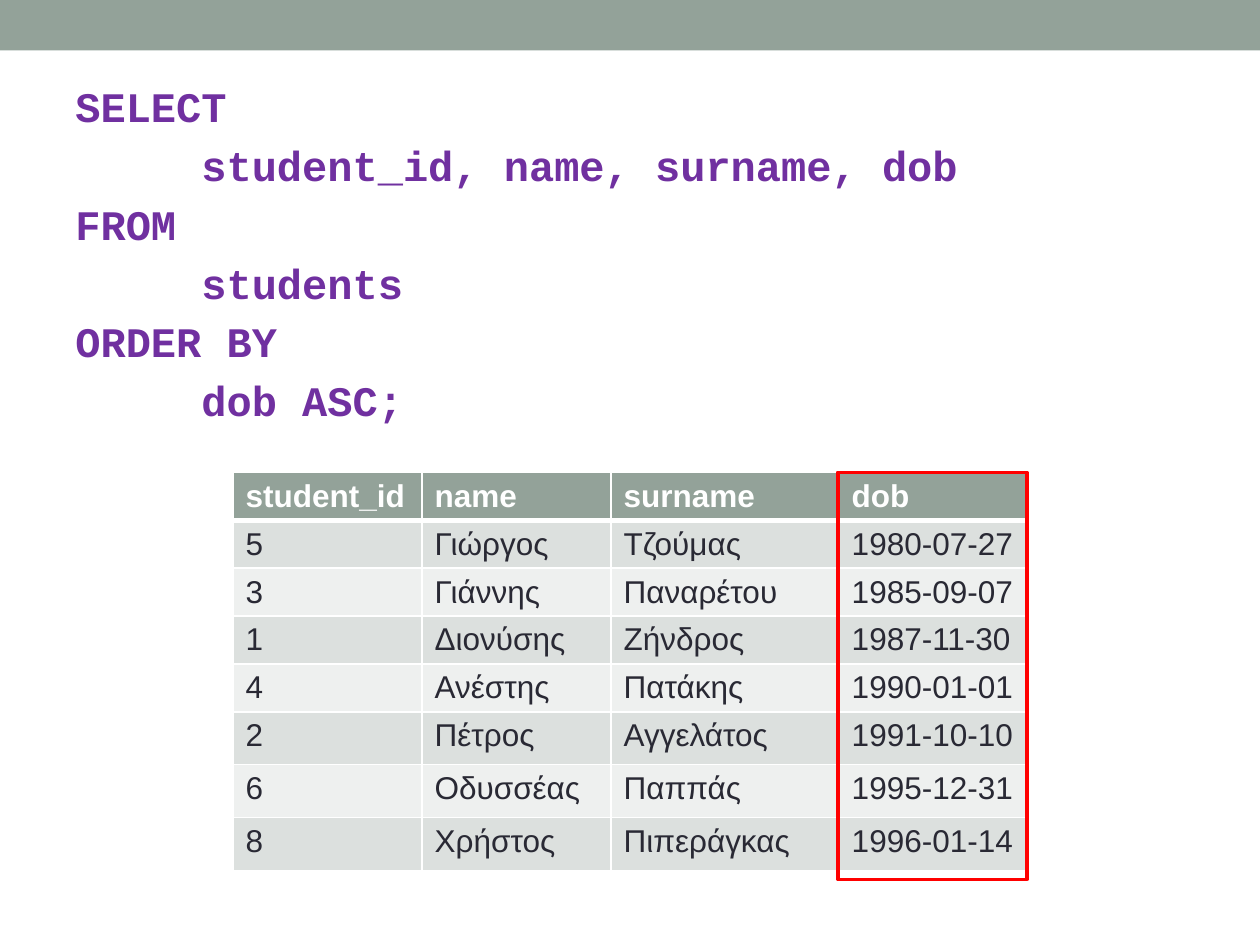
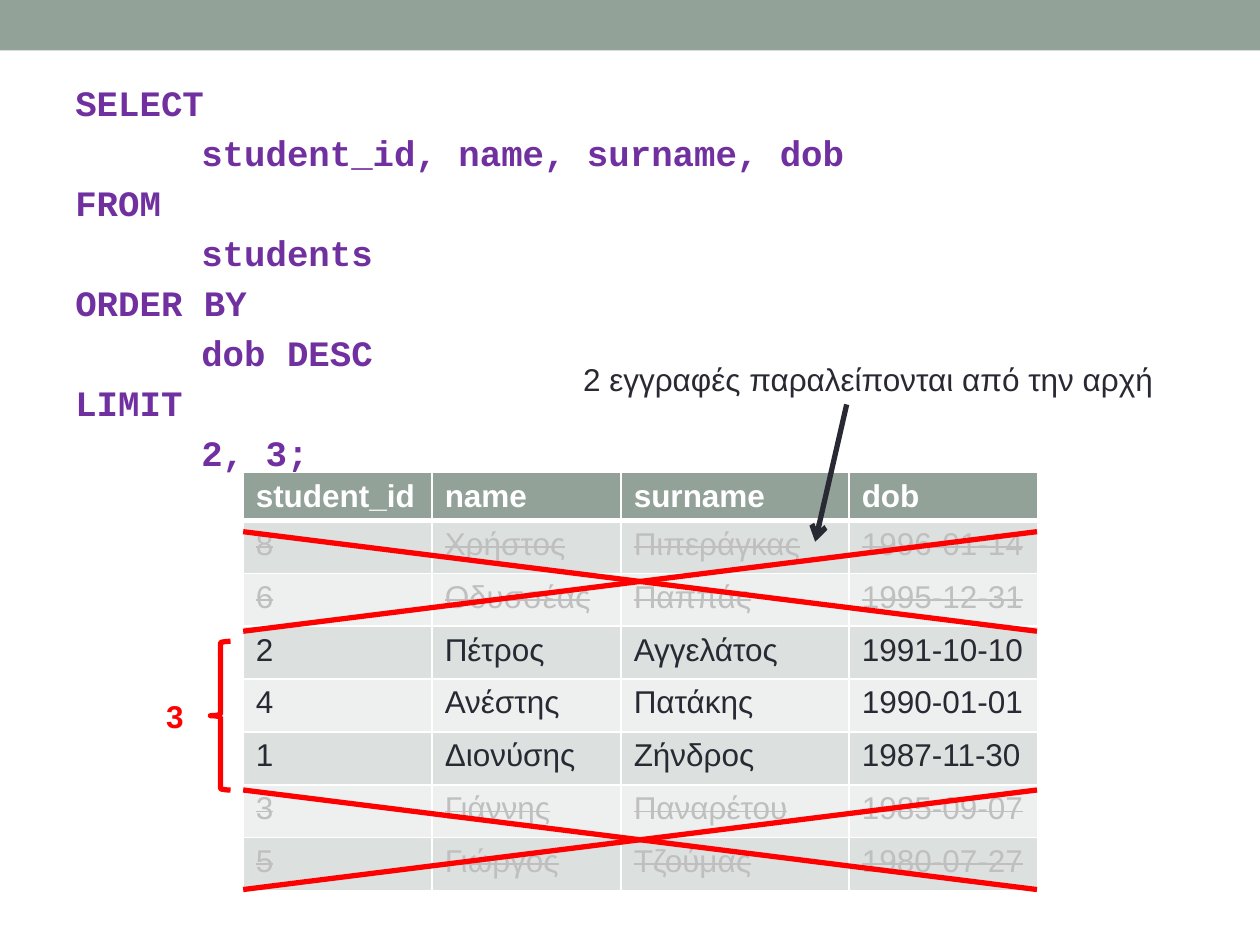
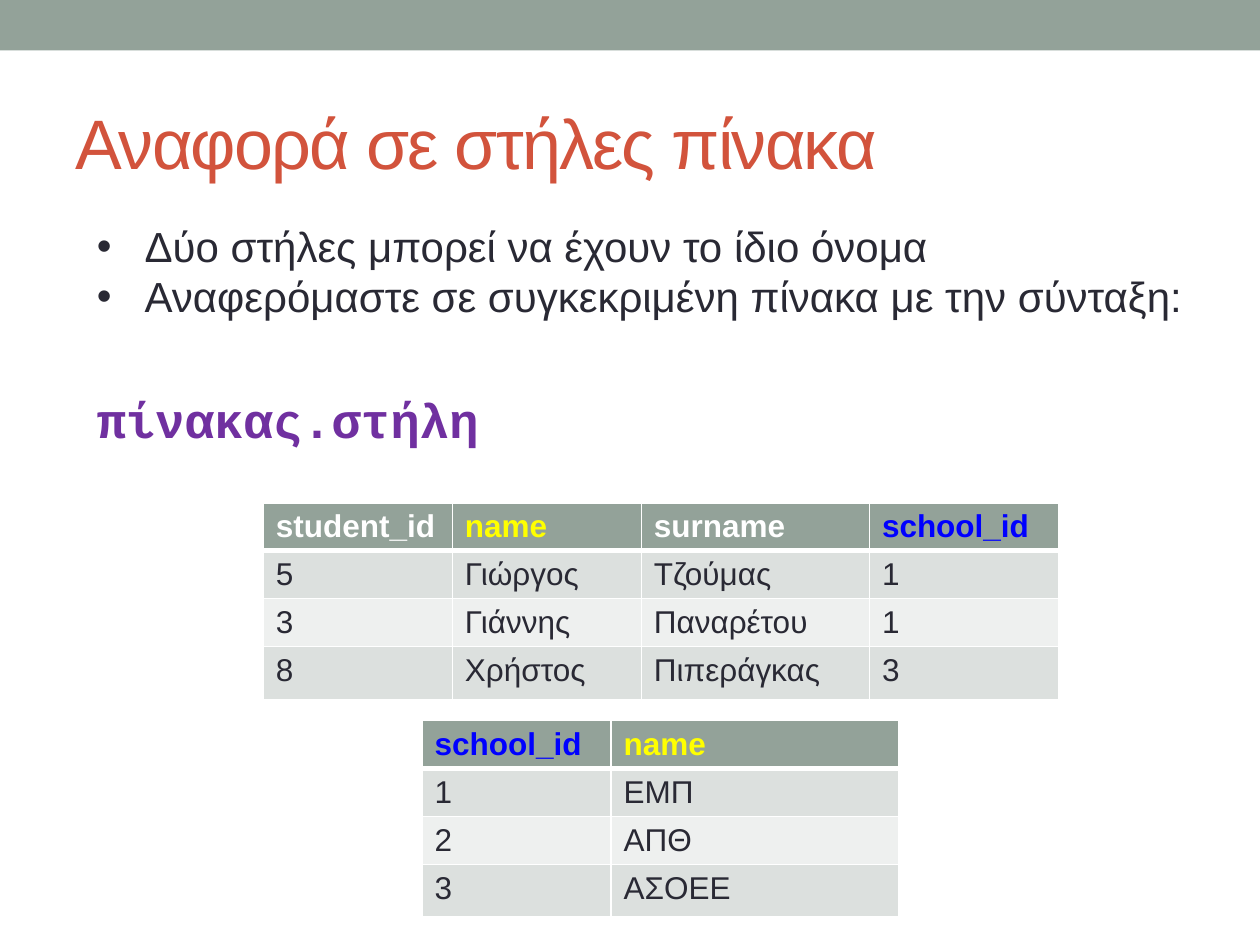
import pptx
import pptx.dml.color
import pptx.enum.shapes
import pptx.enum.text
import pptx.oxml
import pptx.oxml.ns
import pptx.util
from pptx.util import Inches

RGBColor = pptx.dml.color.RGBColor
Shape = pptx.enum.shapes.MSO_SHAPE
Anchor = pptx.enum.text.MSO_ANCHOR

SAGE = RGBColor(0x93, 0xA2, 0x99)
ROW_DARK = RGBColor(0xDC, 0xE0, 0xDE)
ROW_LIGHT = RGBColor(0xEE, 0xF0, 0xEF)
INK = RGBColor(0x29, 0x29, 0x34)
PURPLE = RGBColor(0x70, 0x30, 0xA0)
TERRACOTTA = RGBColor(0xD2, 0x53, 0x3C)
RED = RGBColor(0xFF, 0x00, 0x00)
YELLOW = RGBColor(0xFF, 0xFF, 0x00)
BLUE = RGBColor(0x00, 0x00, 0xFF)
GREY = RGBColor(0xBF, 0xBF, 0xBF)
WHITE = RGBColor(0xFF, 0xFF, 0xFF)

SANS, MONO = "Arial", "Courier New"
STUDENT_COLS = [1.5, 1.5, 1.81, 1.5]
SHORT_ROW, TALL_ROW = 0.38, 0.42

BIRTHS = [
    ("5", "Γιώργος", "Τζούμας", "1980-07-27"),
    ("3", "Γιάννης", "Παναρέτου", "1985-09-07"),
    ("1", "Διονύσης", "Ζήνδρος", "1987-11-30"),
    ("4", "Ανέστης", "Πατάκης", "1990-01-01"),
    ("2", "Πέτρος", "Αγγελάτος", "1991-10-10"),
    ("6", "Οδυσσέας", "Παππάς", "1995-12-31"),
    ("8", "Χρήστος", "Πιπεράγκας", "1996-01-14"),
]
BIRTH_HEADER = ("student_id", "name", "surname", "dob")


def add_xml(parent, tag, inner="", **attributes):
    """Append a drawing element with the given attributes to parent."""
    listed = " ".join(f'{key}="{value}"' for key, value in attributes.items())
    namespace = pptx.oxml.ns.nsdecls("a")
    parent.append(pptx.oxml.parse_xml(f"<a:{tag} {namespace} {listed}>{inner}</a:{tag}>"))


def indent(paragraph, left, first=0):
    """Indent a paragraph, with its first line shifted by first."""
    properties = paragraph._p.get_or_add_pPr()
    properties.set("marL", str(Inches(left)))
    properties.set("indent", str(Inches(first)))
    return properties


class Deck:
    """Holds the shared style and the slide being built."""

    def __init__(self):
        self.prs = pptx.Presentation()
        self.prs.slide_width, self.prs.slide_height = Inches(10), Inches(7.5)
        self.slide = None

    def new_slide(self):
        """Start a slide with the band along its top."""
        self.slide = self.prs.slides.add_slide(self.prs.slide_layouts[6])
        self.shape(Shape.RECTANGLE, 0, 0, 10, 0.4, fill=SAGE)

    def shape(self, kind, left, top, width, height, fill=None, line=None, weight=1):
        """Add a preset shape, filled or outlined."""
        shape = self.slide.shapes.add_shape(
            kind, Inches(left), Inches(top), Inches(width), Inches(height))
        shape.shadow.inherit = False
        if fill is None:
            shape.fill.background()
        else:
            shape.fill.solid()
            shape.fill.fore_color.rgb = fill
        if line is None:
            shape.line.fill.background()
        else:
            shape.line.color.rgb = line
            shape.line.width = pptx.util.Pt(weight)

    def line(self, x1, y1, x2, y2, color, arrow=False):
        """Add a thick straight line, with an arrowhead at its end if asked."""
        line = self.slide.shapes.add_connector(
            pptx.enum.shapes.MSO_CONNECTOR.STRAIGHT,
            Inches(x1), Inches(y1), Inches(x2), Inches(y2))
        line.line.color.rgb = color
        line.line.width = pptx.util.Pt(3)
        if arrow:
            add_xml(line.line._get_or_add_ln(), "tailEnd", type="arrow")
        add_xml(line._element.spPr, "effectLst")

    def cross_out(self, left, top, width, height):
        """Strike a block of rows with two red diagonals."""
        right, bottom = left + width, top + height
        self.line(left, top, right, bottom, RED)
        self.line(left, bottom, right, top, RED)

    def run(self, paragraph, text, size, color, font=SANS, bold=False):
        """Add one styled run and return it."""
        run = paragraph.add_run()
        run.text = text
        run.font.size = pptx.util.Pt(size)
        run.font.name = font
        run.font.bold = bold
        run.font.color.rgb = color
        return run

    def frame(self, left, top, width, height, wrap=True):
        """Add an empty text box and return its text frame."""
        frame = self.slide.shapes.add_textbox(
            Inches(left), Inches(top), Inches(width), Inches(height)).text_frame
        frame.word_wrap = wrap
        return frame

    def title(self, text):
        """Add the slide title."""
        frame = self.frame(0.5, 0.58, 9, 1.08)
        frame.vertical_anchor = Anchor.MIDDLE
        run = self.run(frame.paragraphs[0], text, 40, TERRACOTTA)
        run._r.get_or_add_rPr().set("spc", "-100")

    def label(self, text, left, top, width, color=INK, bold=False, wrap=True):
        """Add a one-line note."""
        frame = self.frame(left, top, width, 0.4, wrap)
        self.run(frame.paragraphs[0], text, 18, color, bold=bold)

    def query(self, clauses, size):
        """Write a query, each keyword followed by its indented argument."""
        frame = self.frame(0.5, 0.6, 9, 2.91)
        frame.margin_top = Inches(0.04)
        lines = [line for clause in clauses for line in zip(clause, (0, 1))]
        for index, (text, left) in enumerate(lines):
            paragraph = frame.add_paragraph() if index else frame.paragraphs[0]
            paragraph.space_before = pptx.util.Pt(round(size * 0.2, 1))
            indent(paragraph, left)
            self.run(paragraph, text, size, PURPLE, MONO, True)

    def syntax_notes(self, bullets, syntax):
        """Write bullets and, below them, a piece of syntax."""
        frame = self.frame(0.67, 1.7, 8.98, 1.99)
        for index, text in enumerate(bullets):
            paragraph = frame.add_paragraph() if index else frame.paragraphs[0]
            properties = indent(paragraph, 0.38, -0.38)
            add_xml(properties, "buFont", typeface=SANS)
            add_xml(properties, "buChar", char="•")
            self.run(paragraph, text, 24, INK)
        paragraph = frame.add_paragraph()
        paragraph.space_before = pptx.util.Pt(39)
        self.run(paragraph, syntax, 28, PURPLE, MONO, True)

    def table(self, left, top, columns, heights, header, rows, accents=None, struck=()):
        """Add a banded table; accents colour headings, struck rows are greyed out."""
        grid = self.slide.shapes.add_table(
            len(heights), len(columns), Inches(left), Inches(top),
            Inches(sum(columns)), Inches(sum(heights))).table
        for column, width in zip(grid.columns, columns):
            column.width = Inches(width)
        for row, height in zip(grid.rows, heights):
            row.height = Inches(height)
        for r, values in enumerate([header, *rows]):
            for c, text in enumerate(values):
                cell = grid.cell(r, c)
                cell.margin_bottom = Inches(0.02)
                if r == 0:
                    fill, color = SAGE, (accents or {}).get(text, WHITE)
                else:
                    fill = ROW_DARK if r % 2 else ROW_LIGHT
                    color = GREY if r in struck else INK
                self.borders(cell, top=3 if r == 1 else 1, bottom=1 if r else 3)
                cell.fill.solid()
                cell.fill.fore_color.rgb = fill
                run = self.run(cell.text_frame.paragraphs[0], text, 18, color, bold=r == 0)
                if r in struck:
                    run._r.get_or_add_rPr().set("strike", "sngStrike")

    def borders(self, cell, top, bottom):
        """Draw white borders round a cell."""
        white = f'<a:solidFill><a:srgbClr val="{WHITE}"/></a:solidFill>'
        for side, weight in zip("LRTB", (1, 1, top, bottom)):
            add_xml(cell._tc.get_or_add_tcPr(), "ln" + side, white, w=pptx.util.Pt(weight))


def ordered_slide(deck):
    """Show students ordered by date of birth."""
    deck.new_slide()
    deck.query([("SELECT", "student_id, name, surname, dob"), ("FROM", "students"),
                ("ORDER BY", "dob ASC;")], 24)
    deck.table(1.85, 3.75, STUDENT_COLS, [SHORT_ROW] * 5 + [TALL_ROW] * 3,
               BIRTH_HEADER, BIRTHS)
    deck.shape(Shape.RECTANGLE, 6.65, 3.75, 1.5, 3.23, line=RED, weight=2.08)


def limited_slide(deck):
    """Show which rows a limit with an offset keeps."""
    deck.new_slide()
    deck.query([("SELECT", "student_id, name, surname, dob"), ("FROM", "students"),
                ("ORDER BY", "dob DESC"), ("LIMIT", "2, 3;")], 20.4)
    deck.table(1.93, 3.75, STUDENT_COLS, [SHORT_ROW] + [TALL_ROW] * 7,
               BIRTH_HEADER, BIRTHS[::-1], struck=(1, 2, 6, 7))
    deck.line(6.72, 3.21, 6.47, 4.3, INK, arrow=True)
    deck.label("2 εγγραφές παραλείπονται από την αρχή", 4.53, 2.81, 4.8)
    deck.shape(Shape.LEFT_BRACE, 1.67, 5.09, 0.16, 1.18, line=RED, weight=3)
    deck.label("3", 1.22, 5.48, 0.34, RED, bold=True, wrap=False)
    for top in (4.22, 6.27):
        deck.cross_out(1.93, top, 6.3, 0.79)


def columns_slide(deck):
    """Explain how to refer to columns that share a name."""
    accents = {"name": YELLOW, "school_id": BLUE}
    heights = [SHORT_ROW] * 3 + [TALL_ROW]
    pupils = [(*BIRTHS[index][:3], school) for index, school in ((0, "1"), (1, "1"), (6, "3"))]
    deck.new_slide()
    deck.title("Αναφορά σε στήλες πίνακα")
    deck.table(2.09, 3.99, STUDENT_COLS, heights,
               ("student_id", "name", "surname", "school_id"), pupils, accents)
    deck.table(3.35, 5.72, [1.5, 2.28], heights, ("school_id", "name"),
               [("1", "ΕΜΠ"), ("2", "ΑΠΘ"), ("3", "ΑΣΟΕΕ")], accents)
    deck.syntax_notes(["Δύο στήλες μπορεί να έχουν το ίδιο όνομα",
                       "Αναφερόμαστε σε συγκεκριμένη πίνακα με την σύνταξη:"],
                      "πίνακας.στήλη")


def main():
    """Build the slides and save them."""
    deck = Deck()
    ordered_slide(deck)
    limited_slide(deck)
    columns_slide(deck)
    deck.prs.save("out.pptx")


if __name__ == "__main__":
    main()
